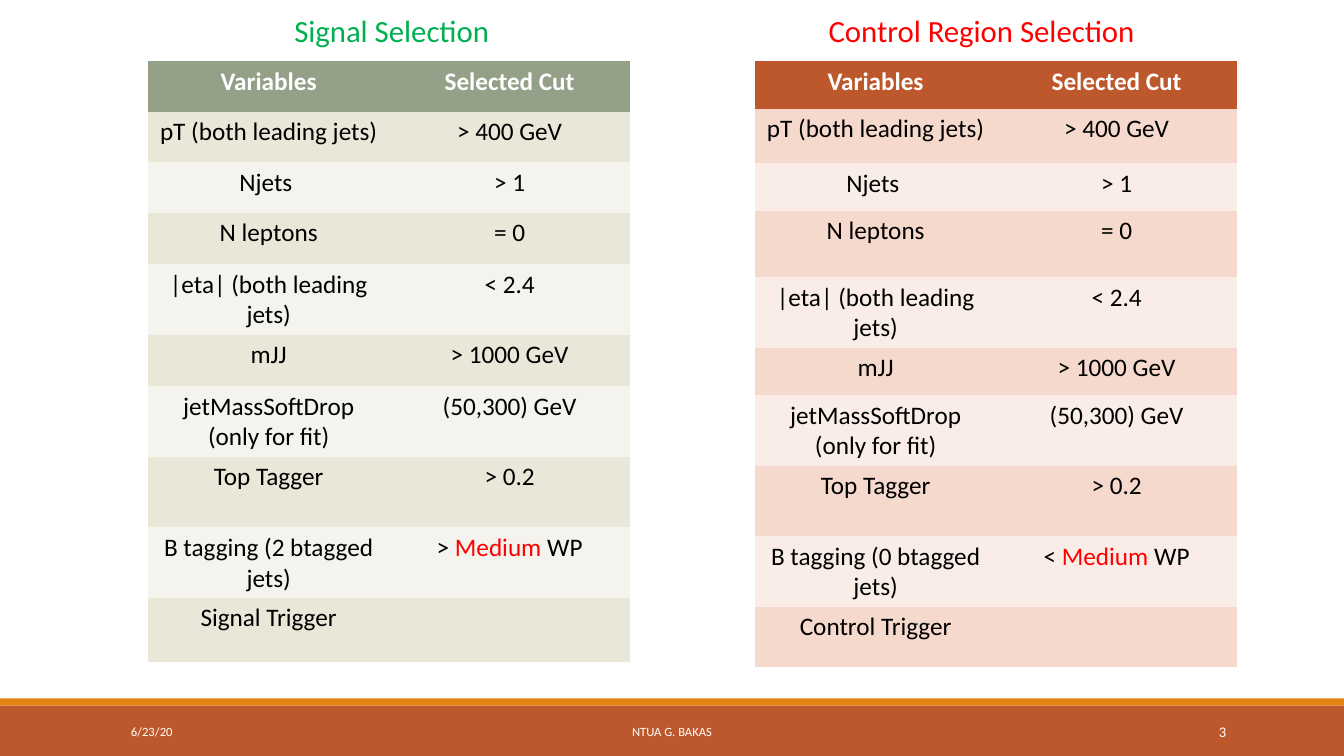
"""Build a slide comparing signal and control region selection cuts."""
from pptx import Presentation
from pptx.dml.color import RGBColor
from pptx.enum.shapes import MSO_SHAPE
from pptx.enum.text import MSO_ANCHOR, PP_ALIGN
from pptx.util import Inches, Pt

RECT = MSO_SHAPE.RECTANGLE
LEFT, CENTER, RIGHT = PP_ALIGN.LEFT, PP_ALIGN.CENTER, PP_ALIGN.RIGHT
TOP, MIDDLE = MSO_ANCHOR.TOP, MSO_ANCHOR.MIDDLE
NO_GRID = "{2D5ABB26-0587-4C30-8999-92F81FD0307C}"
BLACK, WHITE, RED, GREEN = "000000", "FFFFFF", "FF0000", "00B050"
RUST, ORANGE, SAGE = "BD582C", "E48312", "94A088"


def rgb(value):
    return RGBColor.from_string(value)


class SlideBuilder:
    def __init__(self, slide, font):
        self.slide = slide
        self.font = font

    def fill_paragraph(self, p, parts, size, align, bold=False):
        p.alignment = align
        p.font.name = self.font
        p.font.size = Pt(size)
        p.font.bold = bold
        colors = {color for _, color in parts}
        if len(colors) == 1:
            p.font.color.rgb = rgb(colors.pop())
        for text, color in parts:
            r = p.add_run()
            r.text = text
            if len(parts) > 1:
                r.font.color.rgb = rgb(color)

    def bar(self, top, height, color):
        sp = self.slide.shapes.add_shape(RECT, 0, Inches(top), Inches(13.33), Inches(height))
        sp.shadow.inherit = False
        sp.fill.solid()
        sp.fill.fore_color.rgb = rgb(color)
        sp.line.fill.background()

    def text(self, box, text, size, color, align=LEFT, anchor=TOP):
        sp = self.slide.shapes.add_textbox(*map(Inches, box))
        tf = sp.text_frame
        tf.word_wrap = True
        tf.vertical_anchor = anchor
        self.fill_paragraph(tf.paragraphs[0], [(text, color)], size, align)

    def table(self, left, heights, rows, header, bands):
        frame = self.slide.shapes.add_table(
            len(rows), 2, Inches(left), Inches(0.61), Inches(4.78), Inches(sum(heights)))
        frame._element.graphic.graphicData.tbl.tblPr.find(
            "{http://schemas.openxmlformats.org/drawingml/2006/main}tableStyleId").text = NO_GRID
        table = frame.table
        for i, (height, row) in enumerate(zip(heights, rows)):
            table.rows[i].height = Inches(height)
            for j, content in enumerate(row):
                cell = table.cell(i, j)
                cell.fill.solid()
                cell.fill.fore_color.rgb = rgb(bands[(i - 1) % 2] if i else header)
                if isinstance(content, str):
                    content = [(content, BLACK if i else WHITE)]
                if content:
                    self.fill_paragraph(
                        cell.text_frame.paragraphs[0], content, 18, CENTER, i == 0)


def cuts(btags, sign, trigger):
    return [
        ("Variables", "Selected Cut"),
        ("pT (both leading jets) ", "> 400 GeV"),
        ("Njets ", "> 1"),
        ("N leptons", "= 0"),
        ("|eta| (both leading jets)", "< 2.4"),
        ("mJJ", "> 1000 GeV"),
        ("jetMassSoftDrop (only for fit)", "(50,300) GeV"),
        ("Top Tagger", "> 0.2"),
        (f"B tagging ({btags} btagged jets)",
         [(f"{sign} ", BLACK), ("Medium", RED), (" WP", BLACK)]),
        (trigger, []),
    ]


def main():
    prs = Presentation()
    prs.slide_width, prs.slide_height = Inches(13.33), Inches(7.5)
    s = SlideBuilder(prs.slides.add_slide(prs.slide_layouts[6]), "Calibri")

    s.bar(7, 0.5, RUST)
    s.bar(6.93, 0.07, ORANGE)
    s.text((4.03, 7.06, 5.27, 0.4), "NTUA G. BAKAS", 9, WHITE, CENTER, MIDDLE)
    s.text((10.83, 7.06, 1.43, 0.4), "3", 10.5, WHITE, RIGHT, MIDDLE)
    s.text((1.2, 7.06, 2.7, 0.4), "6/23/20", 9, WHITE, LEFT, MIDDLE)

    s.text((2.82, 0.07, 2.18, 0.47), "Signal Selection", 22, GREEN)
    s.table(1.47, [0.5] * 3 + [0.51, 0.7, 0.51] + [0.7] * 3 + [0.64],
            cuts(2, ">", "Signal Trigger"), SAGE, ("E9E7D8", "F4F3ED"))

    s.text((8.12, 0.07, 3.6, 0.47), "Control Region Selection", 22, RED)
    s.table(7.49, [0.47, 0.54, 0.47, 0.66, 0.7, 0.47] + [0.7] * 3 + [0.6],
            cuts(0, "<", "Control Trigger"), RUST, ("F5D9CC", "FAEDE7"))

    prs.save("out.pptx")


if __name__ == "__main__":
    main()
